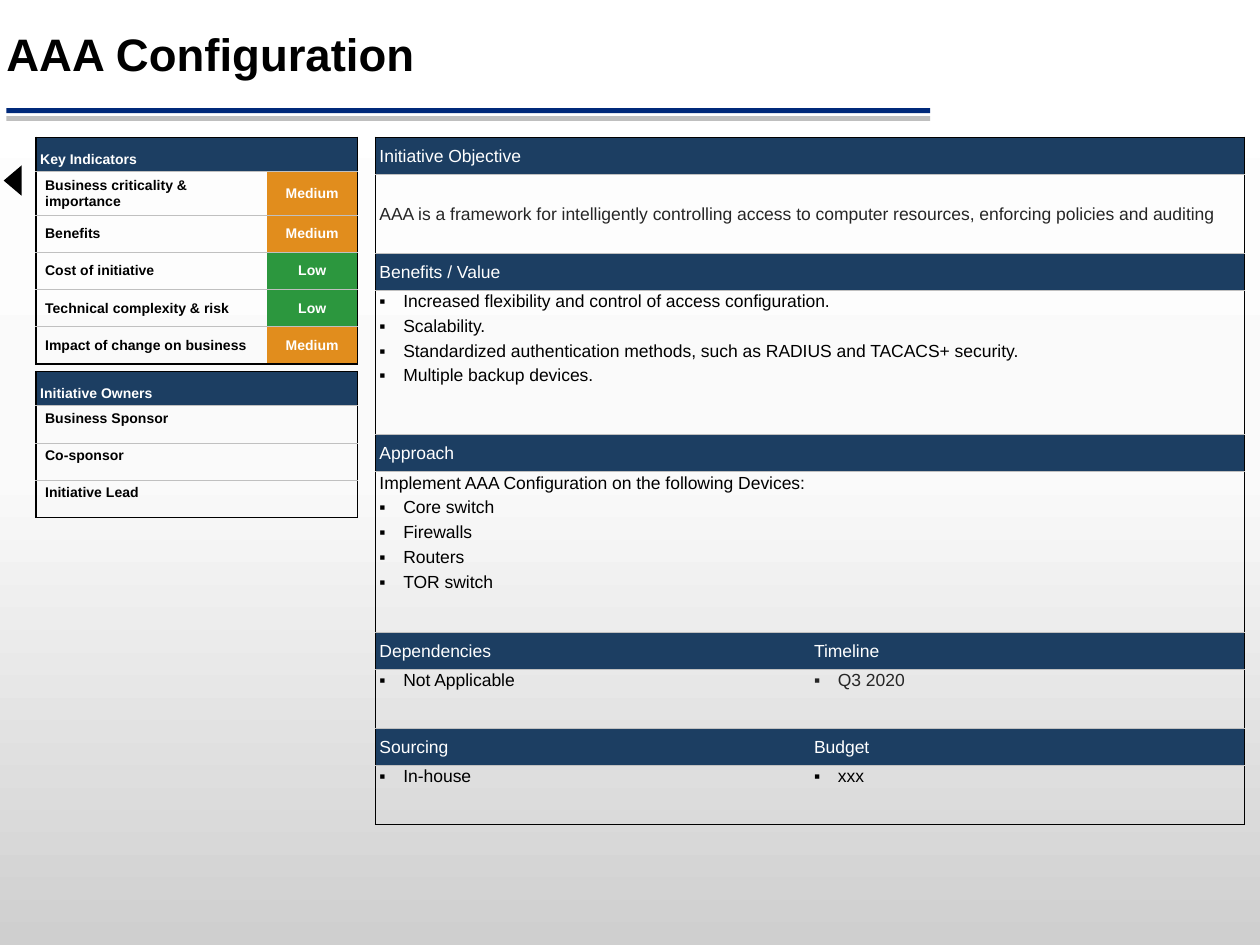
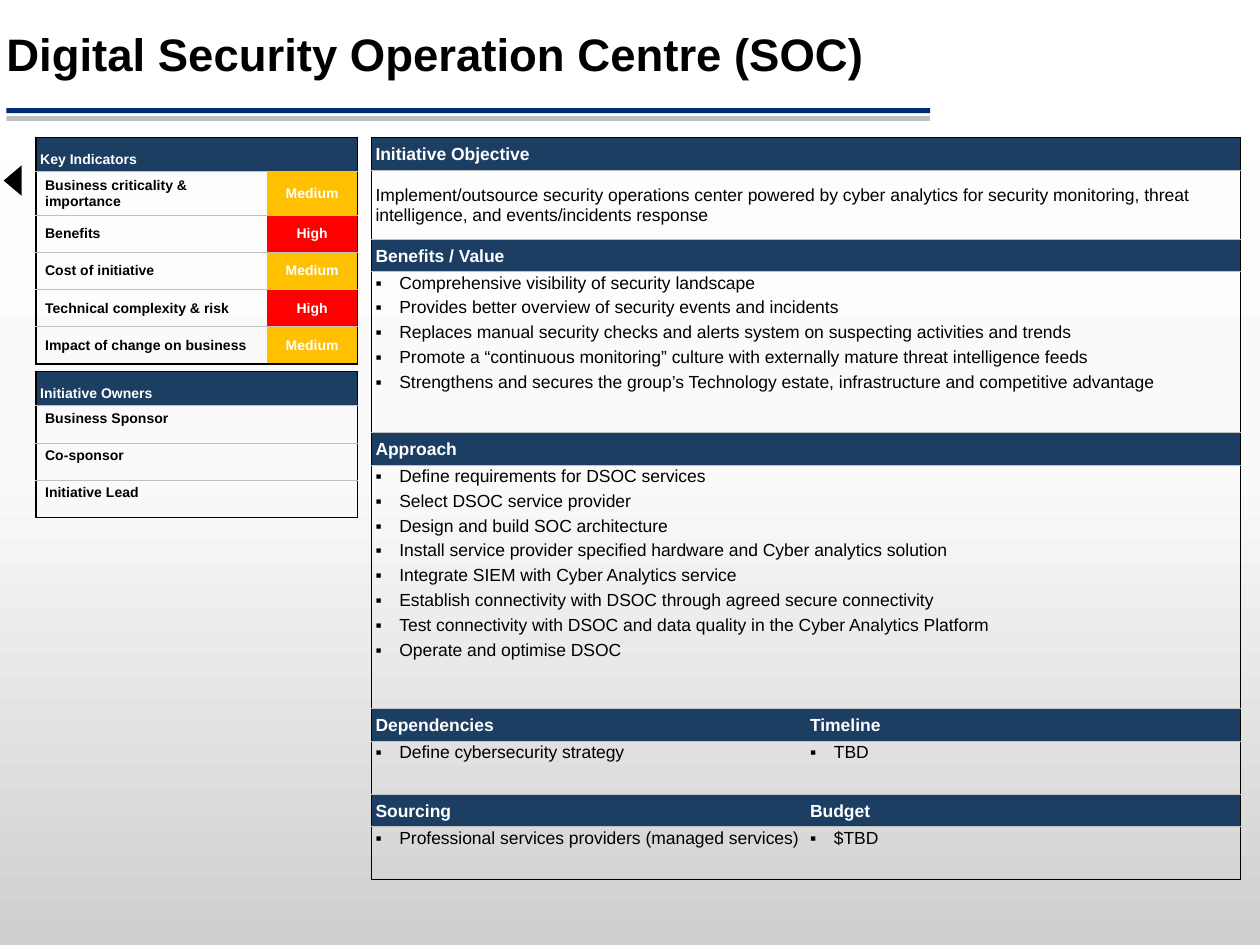
from dataclasses import dataclass, replace
from typing import Optional, Sequence

from lxml import etree
from pptx import Presentation
from pptx.dml.color import RGBColor
from pptx.enum.shapes import MSO_SHAPE
from pptx.enum.text import MSO_ANCHOR, PP_ALIGN
from pptx.oxml.ns import qn
from pptx.util import Cm, Pt

RECTANGLE = MSO_SHAPE.RECTANGLE
TRIANGLE = MSO_SHAPE.ISOSCELES_TRIANGLE
TOP, MIDDLE, BOTTOM = MSO_ANCHOR.TOP, MSO_ANCHOR.MIDDLE, MSO_ANCHOR.BOTTOM
LEFT, CENTER = PP_ALIGN.LEFT, PP_ALIGN.CENTER
PLAIN_TABLE = "{2D5ABB26-0587-4C30-8999-92F81FD0307C}"


@dataclass(frozen=True)
class Theme:
    font: str = "Arial"
    title_size: float = 26
    body_size: float = 10
    small_size: float = 8
    black: str = "000000"
    charcoal: str = "262626"
    white: str = "FFFFFF"
    navy: str = "1C3E62"
    rule_blue: str = "00297A"
    rule_gray: str = "BFBFBF"
    grid_gray: str = "C0C0C0"
    orange: str = "E18D1D"
    green: str = "2C973E"
    yellow: str = "FFC000"
    red: str = "FF0000"
    backdrop: tuple = ((0, "CFCFCF"), (50, "FAFAFA"), (100, "FFFFFF"))


THEME = Theme()


@dataclass(frozen=True)
class CellStyle:
    size: float = THEME.body_size
    color: str = THEME.black
    bold: bool = False
    fill: Optional[str] = None
    anchor: MSO_ANCHOR = TOP
    align: PP_ALIGN = LEFT
    inset: tuple = (0.08, 0.03, 0.03, 0)  # left, top, right, bottom in cm
    bulleted: bool = False


@dataclass(frozen=True)
class Entry:
    style: CellStyle
    lines: tuple = ()
    lead: str = ""


@dataclass(frozen=True)
class Rating:
    label: str
    fill: str


@dataclass(frozen=True)
class Initiative:
    title: str
    ratings: tuple
    panel_left: float
    heading_height: float
    body_heights: tuple
    bold_headings: bool
    objective: str
    objective_color: str
    benefits: tuple
    approach_lead: str
    approach: tuple
    dependencies: str
    timeline: str
    timeline_color: str
    sourcing: str
    budget: str


HEADING = CellStyle(color=THEME.white, fill=THEME.navy, anchor=MIDDLE)
STATEMENT = CellStyle(anchor=MIDDLE)
BULLETS = CellStyle(bulleted=True)
SIDE_HEADING = CellStyle(THEME.small_size, THEME.white, True, THEME.navy, BOTTOM,
                         inset=(0.08, 0.08, 0.08, 0.08))
OWNER = CellStyle(THEME.small_size, bold=True, inset=(0.18, 0.1, 0.18, 0.1))
INDICATOR = replace(OWNER, anchor=MIDDLE)
RATING = replace(INDICATOR, color=THEME.white, align=CENTER)

INDICATORS = ("Business criticality & importance", "Benefits", "Cost of initiative",
              "Technical complexity & risk", "Impact of change on business")
OWNERS = ("Business Sponsor", "Co-sponsor", "Initiative Lead")
SIDE_LEFT, TABLE_TOP, OWNERS_TOP = 0.73, 2.77, 7.49
SIDE_HEADING_HEIGHT, SIDE_ROW_HEIGHT = 0.69, 0.75
PANEL_COLUMNS = (8.76, 8.76)

ORANGE_MEDIUM = Rating("Medium", THEME.orange)
YELLOW_MEDIUM = Rating("Medium", THEME.yellow)
LOW = Rating("Low", THEME.green)
HIGH = Rating("High", THEME.red)

INITIATIVES = (
    Initiative(
        title="AAA Configuration",
        ratings=(ORANGE_MEDIUM, ORANGE_MEDIUM, LOW, LOW, ORANGE_MEDIUM),
        panel_left=7.57,
        heading_height=0.75,
        body_heights=(1.58, 2.91, 3.23, 1.19, 1.19),
        bold_headings=False,
        objective="AAA is a framework for intelligently controlling access to computer "
                  "resources, enforcing policies and auditing",
        objective_color=THEME.charcoal,
        benefits=("Increased flexibility and control of access configuration.",
                  "Scalability.",
                  "Standardized authentication methods, such as RADIUS and TACACS+ security.",
                  "Multiple backup devices."),
        approach_lead="Implement AAA Configuration on the following Devices:",
        approach=("Core switch", "Firewalls", "Routers", "TOR switch"),
        dependencies="Not Applicable",
        timeline="Q3 2020",
        timeline_color=THEME.charcoal,
        sourcing="In-house",
        budget="xxx",
    ),
    Initiative(
        title="Digital Security Operation Centre (SOC)",
        ratings=(YELLOW_MEDIUM, HIGH, YELLOW_MEDIUM, HIGH, YELLOW_MEDIUM),
        panel_left=7.49,
        heading_height=0.66,
        body_heights=(1.39, 3.24, 4.91, 1.06, 1.06),
        bold_headings=True,
        objective="Implement/outsource security operations center powered by cyber analytics "
                  "for security monitoring, threat intelligence, and events/incidents response",
        objective_color=THEME.black,
        benefits=("Comprehensive visibility of security landscape",
                  "Provides better overview of security events and incidents",
                  "Replaces manual security checks and alerts system on suspecting "
                  "activities and trends",
                  "Promote a “continuous monitoring” culture with externally mature "
                  "threat intelligence feeds",
                  "Strengthens and secures the group’s Technology estate, infrastructure "
                  "and competitive advantage"),
        approach_lead="",
        approach=("Define requirements for DSOC services",
                  "Select DSOC service provider",
                  "Design and build SOC architecture",
                  "Install service provider specified hardware and Cyber analytics solution",
                  "Integrate SIEM with Cyber Analytics service",
                  "Establish connectivity with DSOC through agreed secure connectivity",
                  "Test connectivity with DSOC and data quality in the Cyber Analytics Platform",
                  "Operate and optimise DSOC"),
        dependencies="Define cybersecurity strategy",
        timeline="TBD",
        timeline_color=THEME.black,
        sourcing="Professional services providers (managed services)",
        budget="$TBD",
    ),
)


def set_backdrop(deck) -> None:
    """Give the master a vertical gradient that every page inherits."""
    fill = deck.slide_master.background.fill
    fill.gradient()
    fill.gradient_angle = 90
    stops = next(deck.slide_master.element.iter(qn("a:gsLst")))
    for stop in list(stops):
        stops.remove(stop)
    for percent, color in THEME.backdrop:
        stop = etree.SubElement(stops, qn("a:gs"), pos=str(percent * 1000))
        etree.SubElement(stop, qn("a:srgbClr"), val=color)


def add_solid(page, kind: MSO_SHAPE, left: float, top: float, width: float,
              height: float, color: str, rotation: float = 0) -> None:
    shape = page.shapes.add_shape(kind, Cm(left), Cm(top), Cm(width), Cm(height))
    shape.rotation = rotation
    shape.shadow.inherit = False
    shape.fill.solid()
    shape.fill.fore_color.rgb = RGBColor.from_string(color)
    shape.line.fill.background()


def set_font(paragraph, size: float, color: str, bold: bool) -> None:
    font = paragraph.font
    font.name, font.size, font.bold = THEME.font, Pt(size), bold
    font.color.rgb = RGBColor.from_string(color)


def add_title(page, title: str) -> None:
    box = page.shapes.add_textbox(0, Cm(0.53), Cm(19.74), Cm(1.24))
    frame = box.text_frame
    frame.word_wrap = True
    frame.vertical_anchor = MIDDLE
    frame.margin_left = frame.margin_right = frame.margin_top = frame.margin_bottom = Cm(0.13)
    paragraph = frame.paragraphs[0]
    paragraph.text = title
    paragraph.line_spacing = 0.9
    set_font(paragraph, THEME.title_size, THEME.black, True)


def add_bullet(paragraph) -> None:
    properties = paragraph._p.get_or_add_pPr()
    properties.set("marL", str(Cm(0.48)))
    properties.set("indent", str(-Cm(0.48)))
    etree.SubElement(properties, qn("a:buFont"), typeface=THEME.font)
    etree.SubElement(properties, qn("a:buChar"), char="▪")


def set_borders(cell, outer: Sequence[bool]) -> None:
    """Draw left, right, top and bottom: black on the table edge, gray between rows."""
    properties = cell._tc.get_or_add_tcPr()
    for index, (tag, on_edge) in enumerate(zip(("lnL", "lnR", "lnT", "lnB"), outer)):
        line = etree.Element(qn(f"a:{tag}"), w=str(Pt(1 if on_edge else 0.5)))
        properties.insert(index, line)
        if on_edge or tag in ("lnT", "lnB"):
            fill = etree.SubElement(line, qn("a:solidFill"))
            color = THEME.black if on_edge else THEME.grid_gray
            etree.SubElement(fill, qn("a:srgbClr"), val=color)
        else:
            etree.SubElement(line, qn("a:noFill"))


def fill_cell(cell, entry: Entry) -> None:
    style = entry.style
    cell.margin_left, cell.margin_top, cell.margin_right, cell.margin_bottom = map(Cm, style.inset)
    cell.vertical_anchor = style.anchor
    if style.fill:
        cell.fill.solid()
        cell.fill.fore_color.rgb = RGBColor.from_string(style.fill)
    else:
        cell.fill.background()
    frame = cell.text_frame
    lines = ((entry.lead,) if entry.lead else ()) + entry.lines
    for index, line in enumerate(lines):
        paragraph = frame.add_paragraph() if index else frame.paragraphs[0]
        paragraph.text = line
        paragraph.alignment = style.align
        if style.bulleted:
            paragraph.space_after = Pt(3)
            if line != entry.lead:
                add_bullet(paragraph)
        set_font(paragraph, style.size, style.color, style.bold)
    if not lines:
        etree.SubElement(frame.paragraphs[0]._p, qn("a:endParaRPr"), sz=str(style.size * 100))


def add_grid(page, left: float, top: float, widths: Sequence[float],
             heights: Sequence[float], rows: Sequence[Sequence[Entry]]) -> None:
    """Place a table in which a row of one entry spans all columns."""
    graphic = page.shapes.add_table(len(rows), len(widths), Cm(left), Cm(top),
                                    Cm(sum(widths)), Cm(sum(heights)))
    table = graphic.table
    table.first_row = table.horz_banding = False
    next(graphic._element.iter(qn("a:tableStyleId"))).text = PLAIN_TABLE
    for column, width in zip(table.columns, widths):
        column.width = Cm(width)
    last_row, last_column = len(rows) - 1, len(widths) - 1
    for r, (entries, height) in enumerate(zip(rows, heights)):
        table.rows[r].height = Cm(height)
        spans = len(entries) == 1
        if spans:
            table.cell(r, 0).merge(table.cell(r, last_column))
        for c in range(len(widths)):
            cell = table.cell(r, c)
            fill_cell(cell, entries[c] if c < len(entries) else Entry(entries[0].style))
            set_borders(cell, (c == 0, spans or c == last_column, r == 0, r == last_row))


def add_side_table(page, top: float, widths: Sequence[float], heading: str,
                   rows: Sequence[Sequence[Entry]]) -> None:
    heights = [SIDE_HEADING_HEIGHT] + [SIDE_ROW_HEIGHT] * len(rows)
    add_grid(page, SIDE_LEFT, top, widths, heights,
             [[Entry(SIDE_HEADING, (heading,))], *rows])


def add_panel(page, item: Initiative) -> None:
    heading = replace(HEADING, bold=item.bold_headings)
    objective = replace(STATEMENT, color=item.objective_color)
    timeline = replace(BULLETS, color=item.timeline_color)
    sections = (
        (("Initiative Objective",), [Entry(objective, (item.objective,))]),
        (("Benefits / Value",), [Entry(BULLETS, item.benefits)]),
        (("Approach",), [Entry(BULLETS, item.approach, item.approach_lead)]),
        (("Dependencies", "Timeline"),
         [Entry(BULLETS, (item.dependencies,)), Entry(timeline, (item.timeline,))]),
        (("Sourcing", "Budget"),
         [Entry(BULLETS, (item.sourcing,)), Entry(BULLETS, (item.budget,))]),
    )
    rows, heights = [], []
    for (names, body), height in zip(sections, item.body_heights):
        rows += [[Entry(heading, (name,)) for name in names], body]
        heights += [item.heading_height, height]
    add_grid(page, item.panel_left, TABLE_TOP, PANEL_COLUMNS, heights, rows)


def add_initiative(deck, item: Initiative) -> None:
    page = deck.slides.add_slide(deck.slide_layouts[6])
    for top, color in ((2.34, THEME.rule_gray), (2.18, THEME.rule_blue)):
        add_solid(page, RECTANGLE, 0.13, top, 18.62, 0.1, color)
    add_title(page, item.title)
    add_side_table(page, TABLE_TOP, (4.65, 1.83), "Key Indicators", [
        [Entry(INDICATOR, (name,)), Entry(replace(RATING, fill=rating.fill), (rating.label,))]
        for name, rating in zip(INDICATORS, item.ratings)])
    add_panel(page, item)
    add_solid(page, TRIANGLE, -0.05, 3.46, 0.61, 0.36, THEME.black, 270)
    add_side_table(page, OWNERS_TOP, (2.9, 3.58), "Initiative Owners",
                   [[Entry(OWNER, (name,)), Entry(OWNER)] for name in OWNERS])


def main() -> None:
    deck = Presentation()
    deck.slide_width, deck.slide_height = Cm(25.4), Cm(19.05)
    set_backdrop(deck)
    for item in INITIATIVES:
        add_initiative(deck, item)
    deck.save("out.pptx")


if __name__ == "__main__":
    main()
